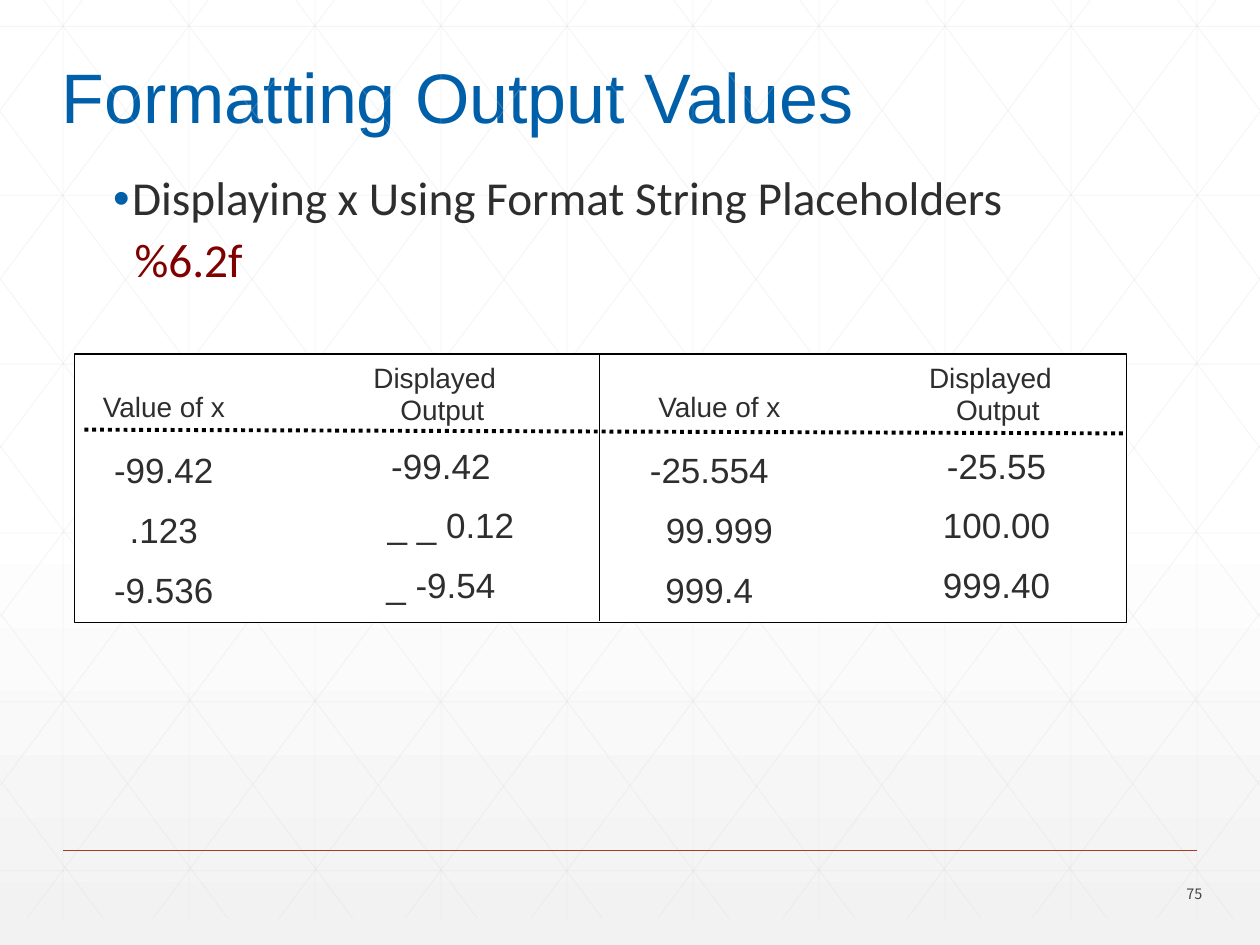
from lxml.etree import SubElement
from pptx import Presentation
from pptx.dml.color import RGBColor
from pptx.enum.dml import MSO_LINE
from pptx.enum.shapes import MSO_CONNECTOR, MSO_SHAPE
from pptx.enum.text import MSO_ANCHOR, MSO_AUTO_SIZE, PP_ALIGN
from pptx.oxml.ns import qn
from pptx.util import Inches, Pt

COLORS = {
    "white": "FFFFFF", "fade": "F2F2F2", "grid": "D9D9D9", "rule": "A43F27",
    "title": "005FA9", "text": "2D2E2D", "format": "800000",
    "number": "424342", "black": "000000",
}
GRID_TOP, GRID_BOTTOM, SLOPE = -0.21, 7.29, 1.34

# Left, top, width and text of each column label and value
LABELS = [
    (0.59, 3.04, "Value of x"), (2.74, 2.81, "Displayed"), (2.8, 3.07, "Output"),
    (5, 3.04, "Value of x"), (7.15, 2.81, "Displayed"), (7.21, 3.07, "Output"),
]
VALUE_TOPS = (3.51, 3.99, 4.46)
OUTPUT_TOPS = (3.48, 3.95, 4.42)
COLUMNS = [
    (VALUE_TOPS, [(0.75, 1.1, "-99.42"), (0.75, 1.1, ".123"), (0.75, 1.1, "-9.536")]),
    (OUTPUT_TOPS, [(2.95, 1.1, "-99.42"), (2.95, 1.26, "_ _ 0.12"), (2.95, 1.1, "_ -9.54")]),
    (VALUE_TOPS, [(5, 1.26, "-25.554"), (5.16, 1.1, "99.999"), (5.08, 1.1, "999.4")]),
    (OUTPUT_TOPS, [(7.36, 1.1, "-25.55"), (7.28, 1.26, "100.00"), (7.36, 1.1, "999.40")]),
]


def rgb(name):
    return RGBColor.from_string(COLORS[name])


def add_line(slide, start, end, color, width, alpha=None, dash=None):
    line = slide.shapes.add_connector(
        MSO_CONNECTOR.STRAIGHT, *(Inches(v) for v in (*start, *end)))
    line.line.color.rgb = rgb(color)
    line.line.width = Pt(width)
    if dash:
        line.line.dash_style = dash
    properties = line._element.spPr
    if alpha:
        tint = properties.find(".//" + qn("a:srgbClr"))
        SubElement(tint, qn("a:alpha")).set("val", str(alpha * 1000))
    SubElement(properties, qn("a:effectLst"))


def add_run(paragraph, text, size, color, font):
    run = paragraph.add_run()
    run.text = text
    run.font.size = Pt(size)
    run.font.name = font
    run.font.color.rgb = rgb(color)


def add_box(slide, left, top, width, height):
    box = slide.shapes.add_textbox(*(Inches(v) for v in (left, top, width, height)))
    box.text_frame.word_wrap = True
    return box.text_frame


def add_label(slide, left, top, width, height, text, size):
    frame = add_box(slide, left, top, width, height)
    frame.auto_size = MSO_AUTO_SIZE.SHAPE_TO_FIT_TEXT
    paragraph = frame.paragraphs[0]
    paragraph.alignment = PP_ALIGN.CENTER
    add_run(paragraph, text, size, "text", "Arial")


def add_background(slide):
    fill = slide.background.fill
    fill.gradient()
    fill.gradient_angle = 270
    for stop, position, color in zip(fill.gradient_stops, (0.53, 1), ("white", "fade")):
        stop.position = position
        stop.color.rgb = rgb(color)


def add_grid(slide):
    def grid_line(start, end):
        add_line(slide, start, end, "grid", 0.5, alpha=25)

    for i in range(10):
        grid_line((0.5 + i, GRID_TOP), (0.5 + i, GRID_BOTTOM))
    for i in range(6):
        grid_line((0, 0.21 + SLOPE * i), (10, 0.21 + SLOPE * i))

    # Diagonals stop at the slide's sides, and each has a mirror image
    diagonals = []
    for i in range(10):
        x = 0.19 + i
        end_x = min(x + (GRID_BOTTOM - GRID_TOP) / SLOPE, 10)
        diagonals.append(((x, GRID_TOP), (end_x, GRID_TOP + (end_x - x) * SLOPE)))
    for i in range(5):
        x = 4.78 - 0.99 * i
        diagonals.append(((x, GRID_BOTTOM), (0, GRID_BOTTOM - x * SLOPE)))
    for start, end in diagonals:
        grid_line(start, end)
        grid_line((10 - start[0], start[1]), (10 - end[0], end[1]))


def add_title(slide):
    title = slide.shapes.title
    title.left, title.top = Inches(0.39), Inches(0.44)
    title.width, title.height = Inches(6.55), Inches(0.71)
    frame = title.text_frame
    frame.word_wrap = False
    frame.auto_size = MSO_AUTO_SIZE.SHAPE_TO_FIT_TEXT
    frame.vertical_anchor = MSO_ANCHOR.BOTTOM
    paragraph = frame.paragraphs[0]
    paragraph.alignment = PP_ALIGN.LEFT
    paragraph.line_spacing = 0.9
    add_run(paragraph, "Formatting Output Values", 40, "title", "Arial")


def add_body(slide):
    frame = add_box(slide, 0.2, 1.34, 9.43, 1.1)
    heading, placeholder = frame.paragraphs[0], frame.add_paragraph()
    for paragraph, margin, indent in ((heading, 0.75, -0.15), (placeholder, 0.77, 0)):
        properties = paragraph._p.get_or_add_pPr()
        properties.set("marL", str(Inches(margin)))
        properties.set("indent", str(Inches(indent)))
        paragraph.line_spacing = 0.9
    placeholder.space_before = Pt(6)
    properties = heading._p.pPr
    bullet_color = SubElement(properties, qn("a:buClr"))
    SubElement(bullet_color, qn("a:srgbClr")).set("val", COLORS["title"])
    SubElement(properties, qn("a:buFont")).set("typeface", "Arial")
    SubElement(properties, qn("a:buChar")).set("char", "•")
    add_run(heading, "Displaying x Using Format String Placeholders", 27, "text", "Calibri")
    add_run(placeholder, "%6.2f", 27, "format", "Calibri")


def add_value_panel(slide):
    panel = slide.shapes.add_shape(
        MSO_SHAPE.RECTANGLE, Inches(0.59), Inches(2.81), Inches(8.35), Inches(2.13))
    panel.shadow.inherit = False
    panel.fill.solid()
    panel.fill.fore_color.rgb = rgb("white")
    panel.line.color.rgb = rgb("black")
    panel.line.width = Pt(0.75)
    add_line(slide, (0.67, 3.41), (8.94, 3.44), "black", 2.25, dash=MSO_LINE.ROUND_DOT)
    add_line(slide, (4.76, 2.81), (4.76, 4.93), "black", 0.75)
    for left, top, text in LABELS:
        add_label(slide, left, top, 1.42, 0.37, text, 16)
    for tops, values in COLUMNS:
        for top, (left, width, text) in zip(tops, values):
            add_label(slide, left, top, width, 0.43, text, 20)


def add_footer(slide):
    add_line(slide, (0.5, 6.75), (9.5, 6.75), "rule", 1)
    frame = add_box(slide, 8.89, 6.97, 0.75, 0.24)
    frame.vertical_anchor = MSO_ANCHOR.MIDDLE
    paragraph = frame.paragraphs[0]
    paragraph.alignment = PP_ALIGN.RIGHT
    add_run(paragraph, "75", 8.2, "number", "Noto Sans CJK TC")


def main():
    deck = Presentation()
    deck.slide_width, deck.slide_height = Inches(10), Inches(7.5)
    slide = deck.slides.add_slide(deck.slide_layouts[5])
    add_background(slide)
    add_grid(slide)
    add_title(slide)
    add_body(slide)
    add_value_panel(slide)
    add_footer(slide)
    deck.save("out.pptx")


if __name__ == "__main__":
    main()
